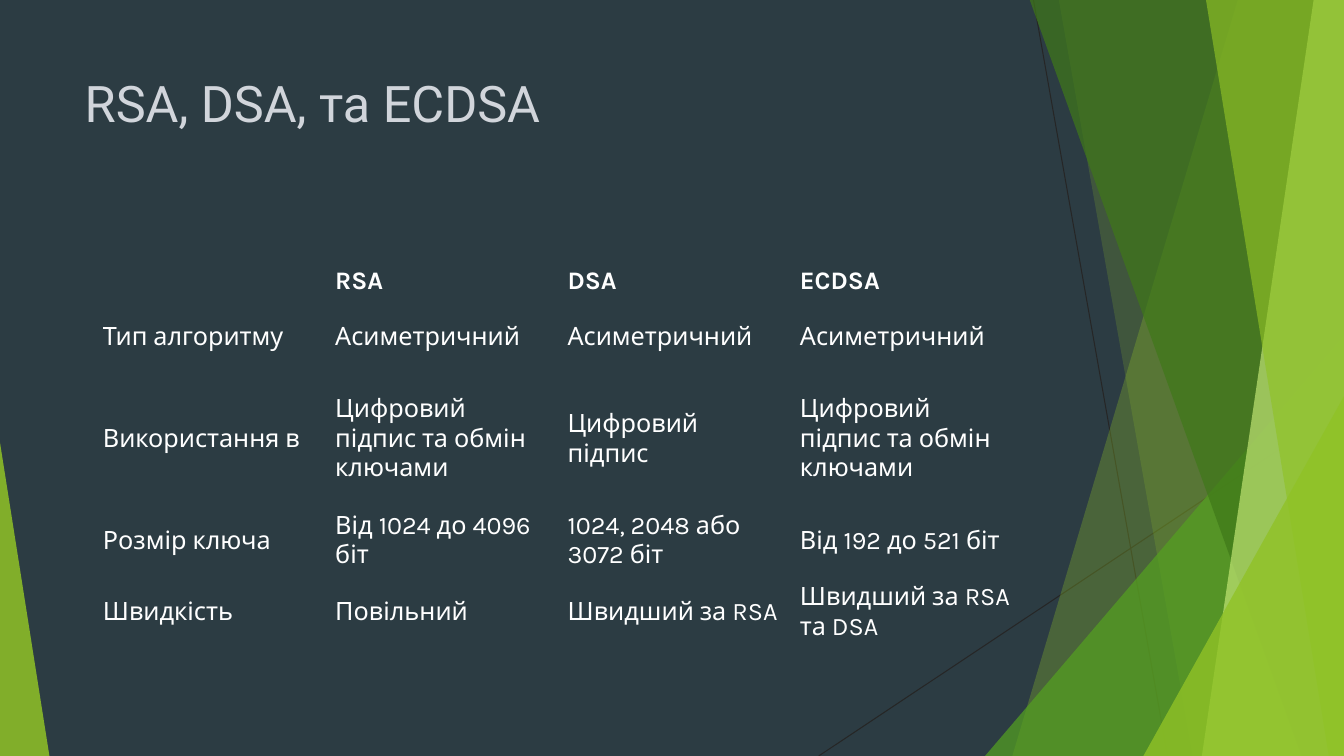
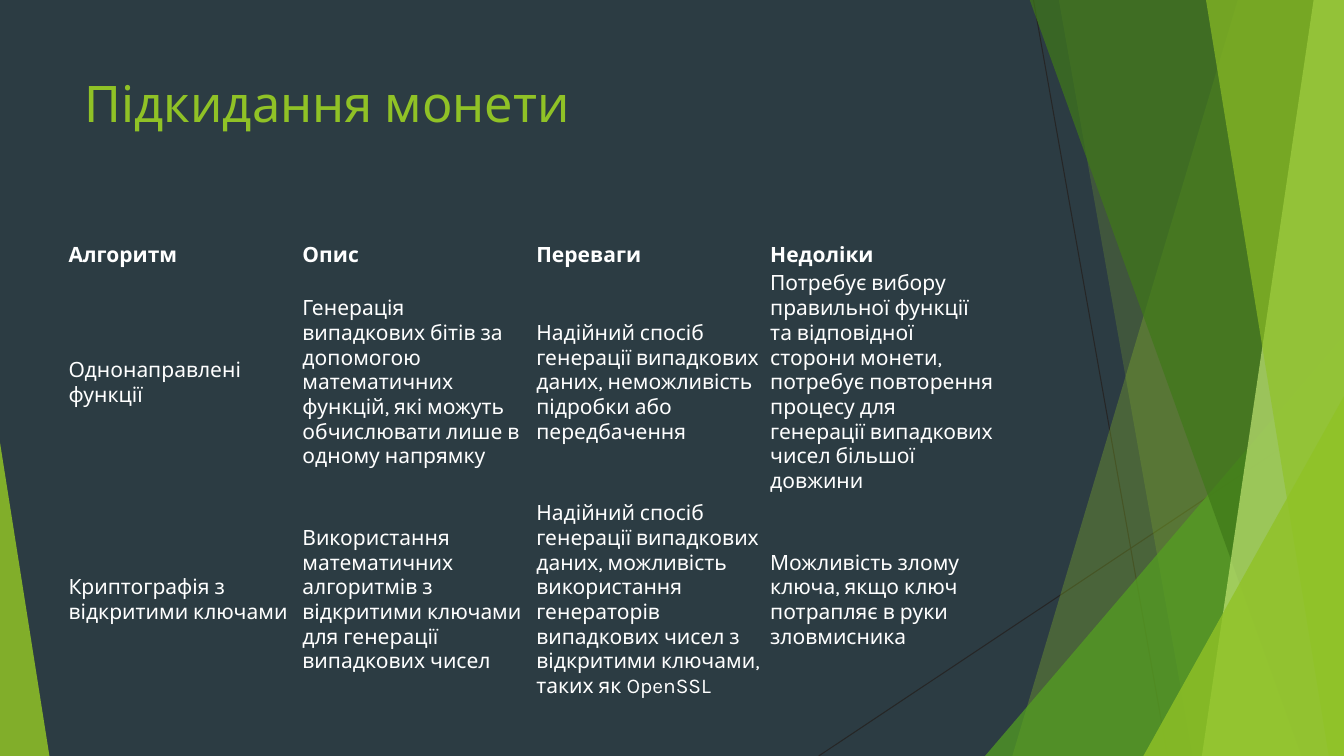
from lxml.etree import SubElement
from pptx import Presentation
from pptx.dml.color import RGBColor
from pptx.enum.shapes import MSO_CONNECTOR, MSO_SHAPE
from pptx.enum.text import MSO_ANCHOR, MSO_AUTO_SIZE, PP_ALIGN
from pptx.oxml.ns import qn
from pptx.util import Inches, Pt

COLORS = {
    "slate": "2C3C43",
    "lime": "90C226",
    "green": "54A021",
    "forest": "3F7819",
    "pale": "C0E474",
    "ray": "262626",
    "silver": "D1D5DB",
    "white": "FFFFFF",
}
WIDTH, HEIGHT = 13.33, 7.5
NO_GRID_STYLE = "{2D5ABB26-0587-4C30-8999-92F81FD0307C}"

RAYS = [(10.25, 0, 11.58, HEIGHT), (WIDTH, 4.03, 8.12, HEIGHT)]
SHARDS = [
    ("facet", (12.28, 10.04), "lime", 30),
    ("facet", (10.5, 11.83), "lime", 20),
    ("corner", (9.77, 3.33, 3.56, 1), "green", 72),
    ("facet", (10.21, 12.91), "forest", 70),
    ("facet", (13.03, 11.92), "pale", 70),
    ("facet", (11.96, 13.18), "lime", 65),
    ("corner", (11.34, 3.93, 1.99, 1), "lime", 80),
    ("corner", (0, 4.39, 0.49, 0), "lime", 85),
]

SLIDES = [
    {
        "title": "RSA, DSA, та ECDSA",
        "title_font": "Roboto",
        "title_color": "silver",
        "origin": (0.92, 2.28),
        "width": 9.22,
        "rows": [0.71, 0.71, 1.31, 0.71, 0.71],
        "size": 18,
        "margins": (0.1, 0.1, 0.05),
        "cells": [
            ["", "RSA", "DSA", "ECDSA"],
            ["Тип алгоритму"] + ["Асиметричний"] * 3,
            ["Використання в", "Цифровий підпис та обмін ключами",
             "Цифровий підпис", "Цифровий підпис та обмін ключами"],
            ["Розмір ключа", "Від 1024 до 4096 біт",
             "1024, 2048 або 3072 біт", "Від 192 до 521 біт"],
            ["Швидкість", "Повільний", "Швидший за RSA",
             "Швидший за RSA та DSA"],
        ],
    },
    {
        "title": "Підкидання монети",
        "title_font": "Karla",
        "title_color": "lime",
        "origin": (0.64, 2.39),
        "width": 9.28,
        "rows": [0.18, 2.07, 2.07],
        "size": 15,
        "margins": (0.04, 0.05, 0.02),
        "cells": [
            ["Алгоритм", "Опис", "Переваги", "Недоліки"],
            ["Однонаправлені функції",
             "Генерація випадкових бітів за допомогою математичних функцій, "
             "які можуть обчислювати лише в одному напрямку",
             "Надійний спосіб генерації випадкових даних, неможливість "
             "підробки або передбачення",
             "Потребує вибору правильної функції та відповідної сторони "
             "монети, потребує повторення процесу для генерації випадкових "
             "чисел більшої довжини"],
            ["Криптографія з відкритими ключами",
             "Використання математичних алгоритмів з відкритими ключами "
             "для генерації випадкових чисел",
             "Надійний спосіб генерації випадкових даних, можливість "
             "використання генераторів випадкових чисел з відкритими "
             "ключами, таких як OpenSSL",
             "Можливість злому ключа, якщо ключ потрапляє в руки "
             "зловмисника"],
        ],
    },
]


def add_run(paragraph, text, font, size, color, bold=False):
    run = paragraph.add_run()
    run.text = text
    run.font.name = font
    run.font.size = Pt(size)
    run.font.bold = bold
    run.font.color.rgb = RGBColor.from_string(COLORS[color])


def draw_backdrop(shapes):
    for x1, y1, x2, y2 in RAYS:
        ray = shapes.add_connector(
            MSO_CONNECTOR.STRAIGHT, Inches(x1), Inches(y1), Inches(x2), Inches(y2))
        ray.line.color.rgb = RGBColor.from_string(COLORS["ray"])
        ray.line.width = Pt(0.75)
        SubElement(ray._element.spPr, qn("a:effectLst"))
    for kind, geometry, color, opacity in SHARDS:
        if kind == "facet":
            top, bottom = geometry
            outline = shapes.build_freeform(Inches(top), Inches(-0.01))
            outline.add_line_segments([
                (Inches(WIDTH), Inches(-0.01)),
                (Inches(WIDTH), Inches(HEIGHT)),
                (Inches(bottom), Inches(HEIGHT)),
            ])
            shard = outline.convert_to_shape()
        else:
            left, top, width, apex = geometry
            shard = shapes.add_shape(
                MSO_SHAPE.ISOSCELES_TRIANGLE, Inches(left), Inches(top),
                Inches(width), Inches(HEIGHT - top))
            shard.adjustments[0] = apex
        shard.shadow.inherit = False
        shard.line.fill.background()
        shard.fill.solid()
        shard.fill.fore_color.rgb = RGBColor.from_string(COLORS[color])
        tint = shard._element.spPr.find(qn("a:solidFill"))[0]
        SubElement(tint, qn("a:alpha"), val=str(opacity * 1000))


prs = Presentation()
prs.slide_width = Inches(WIDTH)
prs.slide_height = Inches(HEIGHT)
backdrop = prs.slide_master.background.fill
backdrop.solid()
backdrop.fore_color.rgb = RGBColor.from_string(COLORS["slate"])

for content in SLIDES:
    slide = prs.slides.add_slide(prs.slide_layouts[5])
    draw_backdrop(slide.shapes)

    title = slide.shapes.title
    title.left, title.top = Inches(0.74), Inches(0.67)
    title.width, title.height = Inches(9.4), Inches(1.44)
    title.text_frame.vertical_anchor = MSO_ANCHOR.TOP
    title.text_frame.auto_size = MSO_AUTO_SIZE.NONE
    heading = title.text_frame.paragraphs[0]
    heading.alignment = PP_ALIGN.LEFT
    add_run(heading, content["title"], content["title_font"], 36, content["title_color"])

    cells = content["cells"]
    left, top = content["origin"]
    frame = slide.shapes.add_table(
        len(cells), len(cells[0]), Inches(left), Inches(top),
        Inches(content["width"]), Inches(sum(content["rows"])))
    comparison = frame.table
    comparison.first_row = False
    comparison.horz_banding = False
    frame._element.xpath(".//a:tableStyleId")[0].text = NO_GRID_STYLE

    before, after, edge = content["margins"]
    for r, texts in enumerate(cells):
        comparison.rows[r].height = Inches(content["rows"][r])
        for c, text in enumerate(texts):
            cell = comparison.cell(r, c)
            cell.fill.background()
            cell.margin_left, cell.margin_right = Inches(before), Inches(after)
            cell.margin_top = cell.margin_bottom = Inches(edge)
            cell.vertical_anchor = MSO_ANCHOR.MIDDLE if r else MSO_ANCHOR.BOTTOM
            if text:
                add_run(cell.text_frame.paragraphs[0], text, "Karla",
                        content["size"], "white", bold=r == 0)

prs.save("out.pptx")
